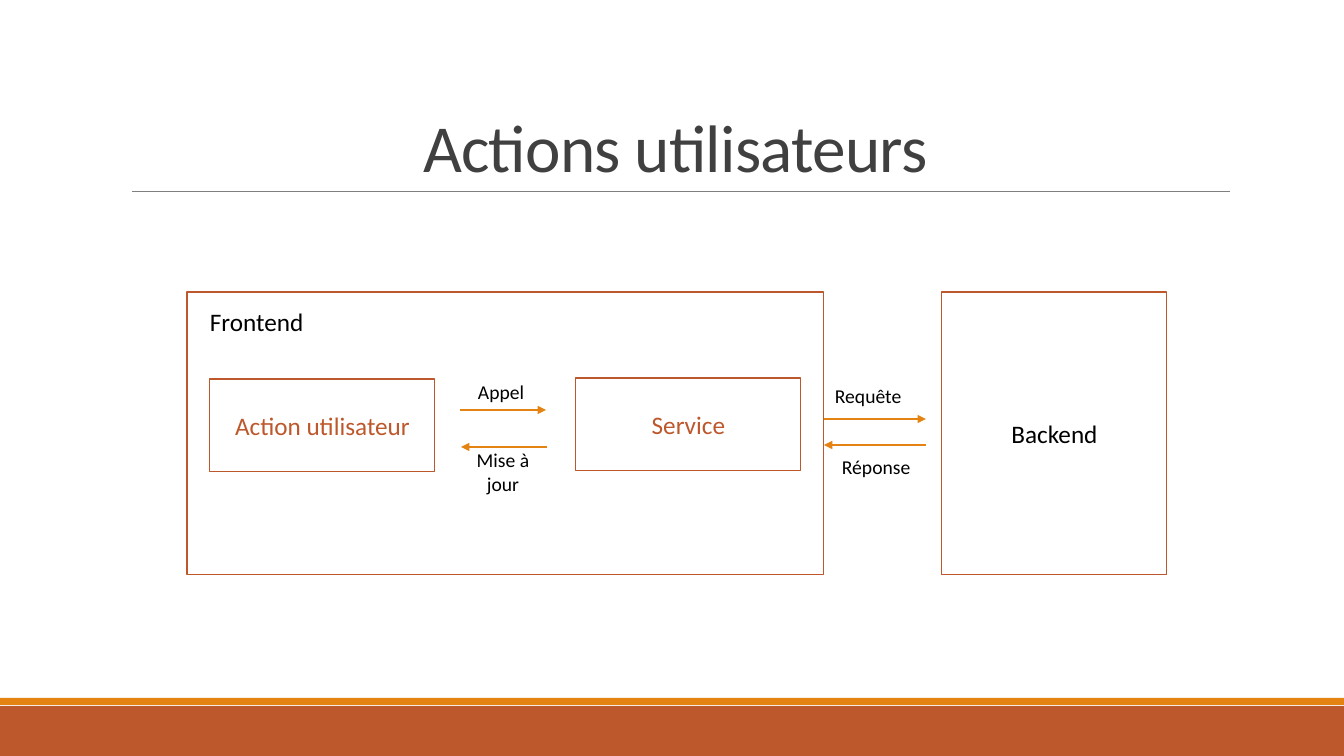
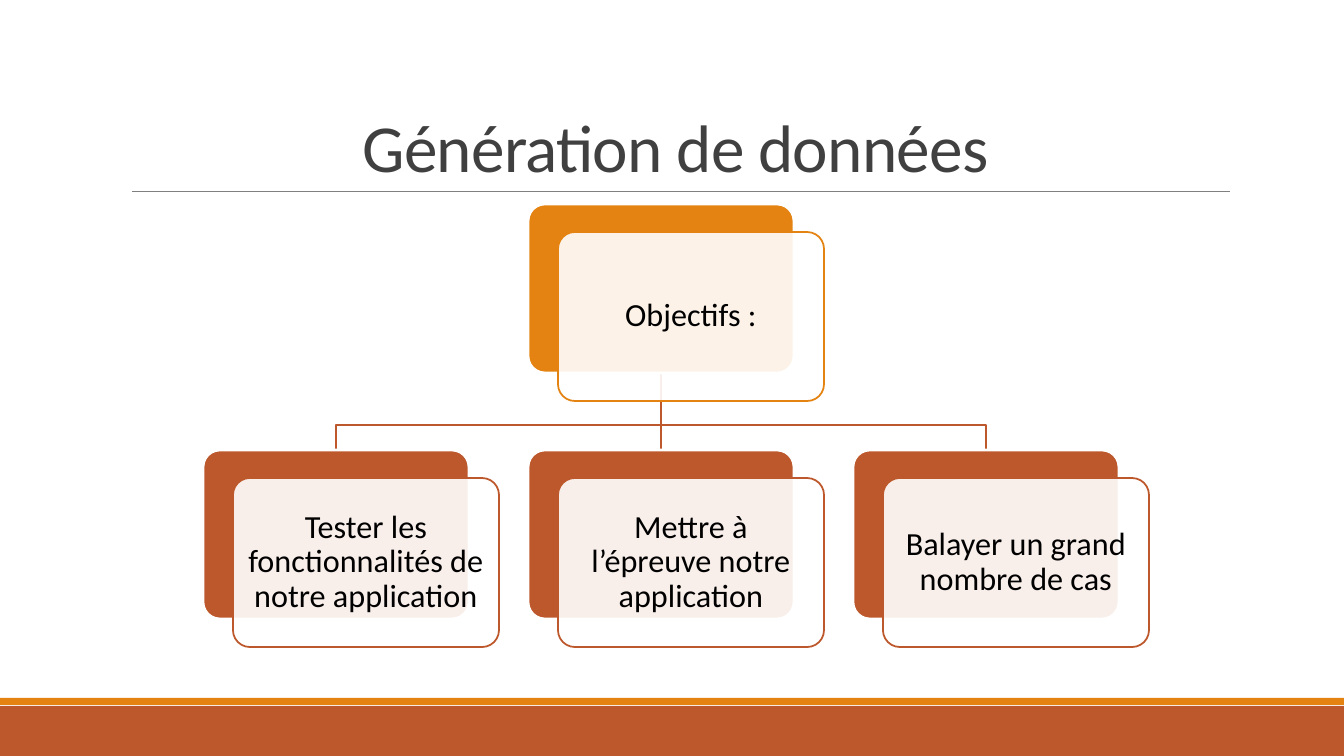
from dataclasses import dataclass

from lxml import etree
from pptx import Presentation
from pptx import util as u
from pptx.dml.color import RGBColor
from pptx.enum import shapes, text
from pptx.oxml import ns

SCALE = 914400 / 100.8
WIDE, HIGH = 1344, 756
KIND = shapes.MSO_SHAPE
ALIGN = text.PP_ALIGN
ANCHOR = text.MSO_ANCHOR


@dataclass(frozen=True)
class Theme:
    """Colours, font and type sizes of the deck."""
    font: str = "Calibri"
    rust: str = "BD582C"
    amber: str = "E48312"
    gray: str = "808080"
    dark: str = "404040"
    black: str = "000000"
    white: str = "FFFFFF"
    title: int = 48
    card: int = 23
    body: int = 18
    note: int = 14


T = Theme()


def px(*vals):
    """Turn px lengths into EMU."""
    return [u.Emu(round(v * SCALE)) for v in vals]


def rgb(code):
    """Give the colour for a hex code."""
    return RGBColor.from_string(code)


def stroke(line, color, width):
    """Set the colour and width of a line."""
    line.color.rgb = rgb(color)
    line.width = u.Pt(width)


def write(shape, words, size, color=T.black, align=ALIGN.CENTER,
          anchor=ANCHOR.MIDDLE, lead=None, track=None):
    """Write one styled run in a shape."""
    frame = shape.text_frame
    frame.word_wrap = True
    frame.vertical_anchor = anchor
    para = frame.paragraphs[0]
    para.alignment = align
    if lead:
        para.line_spacing = lead
    run = para.add_run()
    run.text = words
    run.font.name = T.font
    run.font.size = u.Pt(size)
    run.font.color.rgb = rgb(color)
    if track:
        run.font._element.set("spc", str(track))


def label(slide, box, words, size, **style):
    """Add a text box."""
    write(slide.shapes.add_textbox(*px(*box)), words, size, **style)


def block(slide, box, fill=None, line=None, width=0.75, kind=KIND.RECTANGLE):
    """Add a plain preset shape."""
    shape = slide.shapes.add_shape(kind, *px(*box))
    shape.shadow.inherit = False
    if fill:
        shape.fill.solid()
        shape.fill.fore_color.rgb = rgb(fill)
    else:
        shape.fill.background()
    if line:
        stroke(shape.line, line, width)
    else:
        shape.line.fill.background()
    return shape


def rule(slide, start, end, color, width, head=False):
    """Add a straight connector, with an arrowhead if asked."""
    wire = slide.shapes.add_connector(
        shapes.MSO_CONNECTOR.STRAIGHT, *px(*start, *end))
    stroke(wire.line, color, width)
    if head:
        edge = wire.line._get_or_add_ln()
        etree.SubElement(edge, ns.qn("a:tailEnd"), type="triangle")
    etree.SubElement(wire._element.spPr, ns.qn("a:effectLst"))
    return wire


def base(deck, title):
    """Add a slide with its title, rule and bands."""
    slide = deck.slides.add_slide(deck.slide_layouts[6])
    block(slide, (0, 706, WIDE, 50), T.rust)
    block(slide, (0, 698, WIDE, 7), T.amber)
    rule(slide, (132, 191), (1230, 191), T.gray, 0.5)
    label(slide, (121, 31, 1109, 160), title, T.title, color=T.dark,
          anchor=ANCHOR.BOTTOM, lead=0.85, track=-50)
    return slide


def node(slide, box, words, color):
    """Add an outlined box with centred words."""
    write(block(slide, box, line=T.rust), words, T.body, color)


def arrow(slide, start, span):
    """Add a level arrow of a signed length."""
    x, y = start
    rule(slide, start, (x + span, y), T.amber, 1, True)


def front(slide, box):
    """Draw the frontend frame and its two nodes."""
    x, y, w, h = box
    block(slide, box, line=T.rust)
    label(slide, (x + 13, y + 9, 118, 40), "Frontend", T.body,
          align=ALIGN.LEFT, anchor=ANCHOR.TOP)
    node(slide, (x + 23, y + 87, 225, 93), "Action utilisateur", T.rust)
    node(slide, (x + w - 248, y + 86, 225, 93), "Service", T.rust)
    arrow(slide, (x + 273, y + 118), 86)
    arrow(slide, (x + 360, y + 155), -86)
    note = dict(size=T.note, anchor=ANCHOR.TOP)
    label(slide, (x + 281, y + 83, 86, 34), "Appel", align=ALIGN.LEFT, **note)
    label(slide, (x + 273, y + 151, 86, 58), "Mise à jour", **note)


def link(slide, box):
    """Draw the exchange between frontend and backend."""
    x, y, w, h = box
    arrow(slide, (x, y + 127), w)
    arrow(slide, (x + w, y + 153), -w)
    for words, dx, dy in (("Requête", 1, 87), ("Réponse", 8, 158)):
        label(slide, (x + dx, y + dy, 94, 34), words, T.note,
              align=ALIGN.LEFT, anchor=ANCHOR.TOP)


def flow(slide, box):
    """Draw the frontend, the backend and their exchange."""
    x, y, w, h = box
    front(slide, (x, y, 637, h))
    link(slide, (x + 637, y, 102, h))
    node(slide, (x + w - 225, y, 225, h), "Backend", T.black)


def card(slide, box, words, color):
    """Draw a two-layer card and return its back layer."""
    x, y, w, h = box
    dx, dy = 30, 28
    size = w - dx, h - dy
    kind = KIND.ROUNDED_RECTANGLE
    back = block(slide, (x, y, *size), color, T.white, 2, kind)
    face = block(slide, (x + dx, y + dy, *size), T.white, color, 1.25, kind)
    for layer in (back, face):
        layer.adjustments[0] = 0.1
    tint = face._element.spPr.find(ns.qn("a:solidFill"))[0]
    etree.SubElement(tint, ns.qn("a:alpha"), val="90000")
    frame = face.text_frame
    (frame.margin_left, frame.margin_right,
     frame.margin_top, frame.margin_bottom) = px(10, 10, 10, 10)
    write(face, words, T.card, lead=0.9)
    return back


def bend(slide, start, end):
    """Draw a bent line from a parent to a child."""
    turn = end[1] - 25
    build = slide.shapes.build_freeform(*px(*start))
    spots = ((start[0], turn), (end[0], turn), end)
    build.add_line_segments([px(*spot) for spot in spots], close=False)
    shape = build.convert_to_shape()
    shape.shadow.inherit = False
    shape.fill.background()
    stroke(shape.line, T.rust, 1.25)


def tree(slide, box, root, kids):
    """Draw a root card above a row of child cards."""
    x, y, w, h = box
    wide, tall = 296, 197
    step = (w - wide) // (len(kids) - 1)
    mid = x + (w - wide) // 2
    row = y + h - tall
    half = (wide - 30) // 2
    start = mid + half, y + tall - 28
    lefts = [x + i * step for i in range(len(kids))]
    for left in lefts:
        if left != mid:
            bend(slide, start, (left + half, row))
    stem = rule(slide, start, (mid + half, row), T.rust, 1.25)
    top = card(slide, (mid, y, wide, tall), root, T.amber)
    stem.begin_connect(top, 2)
    for left, words in zip(lefts, kids):
        back = card(slide, (left, row, wide, tall), words, T.rust)
        if left == mid:
            stem.end_connect(back, 0)


def main():
    """Build and save the deck."""
    deck = Presentation()
    deck.slide_width, deck.slide_height = px(WIDE, HIGH)
    flow(base(deck, "Actions utilisateurs"), (187, 292, 980, 283))
    tree(base(deck, "Génération de données"), (203, 204, 946, 443),
         "Objectifs :",
         ("Tester les fonctionnalités de notre application",
          "Mettre à l’épreuve notre application",
          "Balayer un grand nombre de cas"))
    deck.save("out.pptx")


if __name__ == "__main__":
    main()
